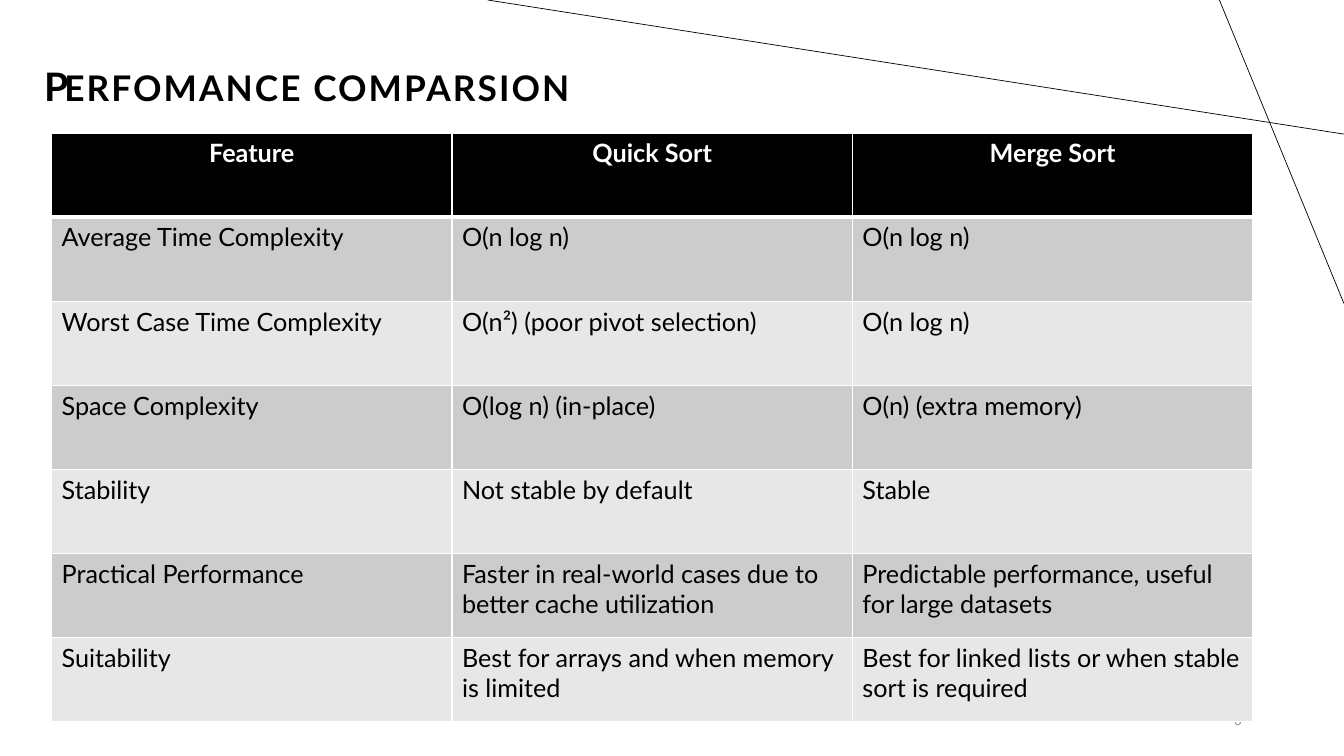
from lxml import etree
from pptx import Presentation
from pptx.dml.color import RGBColor
from pptx.enum.shapes import MSO_CONNECTOR
from pptx.enum.text import MSO_ANCHOR, MSO_AUTO_SIZE, PP_ALIGN
from pptx.oxml.ns import qn
from pptx.util import Cm, Pt

LEFT, CENTER, RIGHT = PP_ALIGN.LEFT, PP_ALIGN.CENTER, PP_ALIGN.RIGHT
MIDDLE, BOTTOM = MSO_ANCHOR.MIDDLE, MSO_ANCHOR.BOTTOM
NO_FIT = MSO_AUTO_SIZE.NONE
STRAIGHT = MSO_CONNECTOR.STRAIGHT

LINES = [(33.87, 3.38, 12.29, 0), (30.73, 0, 33.87, 7.65)]
ROWS = [
    ("Feature", "Quick Sort", "Merge Sort"),
    ("Average Time Complexity", "O(n log n)", "O(n log n)"),
    ("Worst Case Time Complexity", "O(n²) (poor pivot selection)", "O(n log n)"),
    ("Space Complexity", "O(log n) (in-place)", "O(n) (extra memory)"),
    ("Stability", "Not stable by default", "Stable"),
    ("Practical Performance",
     "Faster in real-world cases due to better cache utilization",
     "Predictable performance, useful for large datasets"),
    ("Suitability", "Best for arrays and when memory is limited",
     "Best for linked lists or when stable sort is required"),
]


def rgb(value):
    """Turn a hex string into a colour."""
    return RGBColor.from_string(value)


class Deck:
    """Hold the style and the current slide."""

    font = "Lato"
    black, white, grey = "000000", "FFFFFF", "8C8C8C"
    bands = ("E7E7E7", "CCCCCC")

    def __init__(self):
        """Start a wide presentation with one title-only slide."""
        self.prs = Presentation()
        self.prs.slide_width, self.prs.slide_height = Cm(33.87), Cm(19.05)
        self.s = self.prs.slides.add_slide(self.prs.slide_layouts[5])

    def run(self, tf, text, size, color, bold=False, align=LEFT, spacing=0):
        """Add one styled run to the first paragraph."""
        p = tf.paragraphs[0]
        p.alignment = align
        r = p.add_run()
        r.text = text
        r.font.name, r.font.size, r.font.bold = self.font, Pt(size), bold
        r.font.color.rgb = rgb(color)
        if spacing:
            p.line_spacing = 0.9
            r._r.get_or_add_rPr().set("spc", str(int(spacing * 100)))

    def frame(self, sp, anchor, inset=0.25):
        """Set up the text frame of a shape."""
        tf = sp.text_frame
        tf.word_wrap, tf.auto_size, tf.vertical_anchor = True, NO_FIT, anchor
        tf.margin_left, tf.margin_right = Cm(inset), Cm(0.25)
        tf.margin_top = tf.margin_bottom = Cm(0.13)
        return tf

    def title(self, text, x, y, w, h, size, inset):
        """Place and fill the title placeholder."""
        sp = self.s.shapes.title
        sp.left, sp.top, sp.width, sp.height = Cm(x), Cm(y), Cm(w), Cm(h)
        self.run(self.frame(sp, BOTTOM, inset), text, size, self.black,
                 bold=True, spacing=1.5)

    def text(self, text, x, y, w, h, size, color, anchor, **style):
        """Add a text box."""
        sp = self.s.shapes.add_textbox(Cm(x), Cm(y), Cm(w), Cm(h))
        self.run(self.frame(sp, anchor), text, size, color, **style)

    def line(self, x1, y1, x2, y2):
        """Add a thin straight line."""
        c = self.s.shapes.add_connector(STRAIGHT, Cm(x1), Cm(y1), Cm(x2), Cm(y2))
        c.line.color.rgb, c.line.width = rgb(self.black), Pt(0.5)
        etree.SubElement(c._element.spPr, qn("a:effectLst"))

    def borders(self, cell, top, bottom):
        """Draw white borders around a cell."""
        tc_pr = cell._tc.get_or_add_tcPr()
        widths = {"a:lnL": 1, "a:lnR": 1, "a:lnT": top, "a:lnB": bottom}
        for i, (tag, width) in enumerate(widths.items()):
            ln = etree.Element(qn(tag), w=str(Pt(width)))
            fill = etree.SubElement(ln, qn("a:solidFill"))
            etree.SubElement(fill, qn("a:srgbClr"), val=self.white)
            tc_pr.insert(i, ln)

    def table(self, rows, x, y, col_w, row_h):
        """Add a table with a dark header and banded rows."""
        n, m = len(rows), len(rows[0])
        tbl = self.s.shapes.add_table(n, m, Cm(x), Cm(y), Cm(col_w * m),
                                      Cm(row_h * n)).table
        for col in tbl.columns:
            col.width = Cm(col_w)
        for i, row in enumerate(rows):
            tbl.rows[i].height = Cm(row_h)
            head = i == 0
            for j, text in enumerate(row):
                cell = tbl.cell(i, j)
                cell.fill.solid()
                cell.fill.fore_color.rgb = rgb(self.black if head else self.bands[i % 2])
                self.borders(cell, 3 if i == 1 else 1, 3 if head else 1)
                self.run(cell.text_frame, text, 18,
                         self.white if head else self.black,
                         bold=head, align=CENTER if head else LEFT)


def main():
    """Build the comparison slide."""
    d = Deck()
    for ends in LINES:
        d.line(*ends)
    d.title("ERFOMANCE COMPARSION", 0.86, 1.24, 14.73, 1.65, 25.2, inset=0.76)
    d.text("6", 28.8, 17.65, 2.74, 1.02, 9, d.grey, MIDDLE, align=RIGHT)
    d.text("P", 0.86, 1.24, 13.87, 1.65, 28, d.black, BOTTOM, bold=True, spacing=1.5)
    d.table(ROWS, 1.3, 3.35, 10.09, 2.12)
    d.prs.save("out.pptx")


if __name__ == "__main__":
    main()
